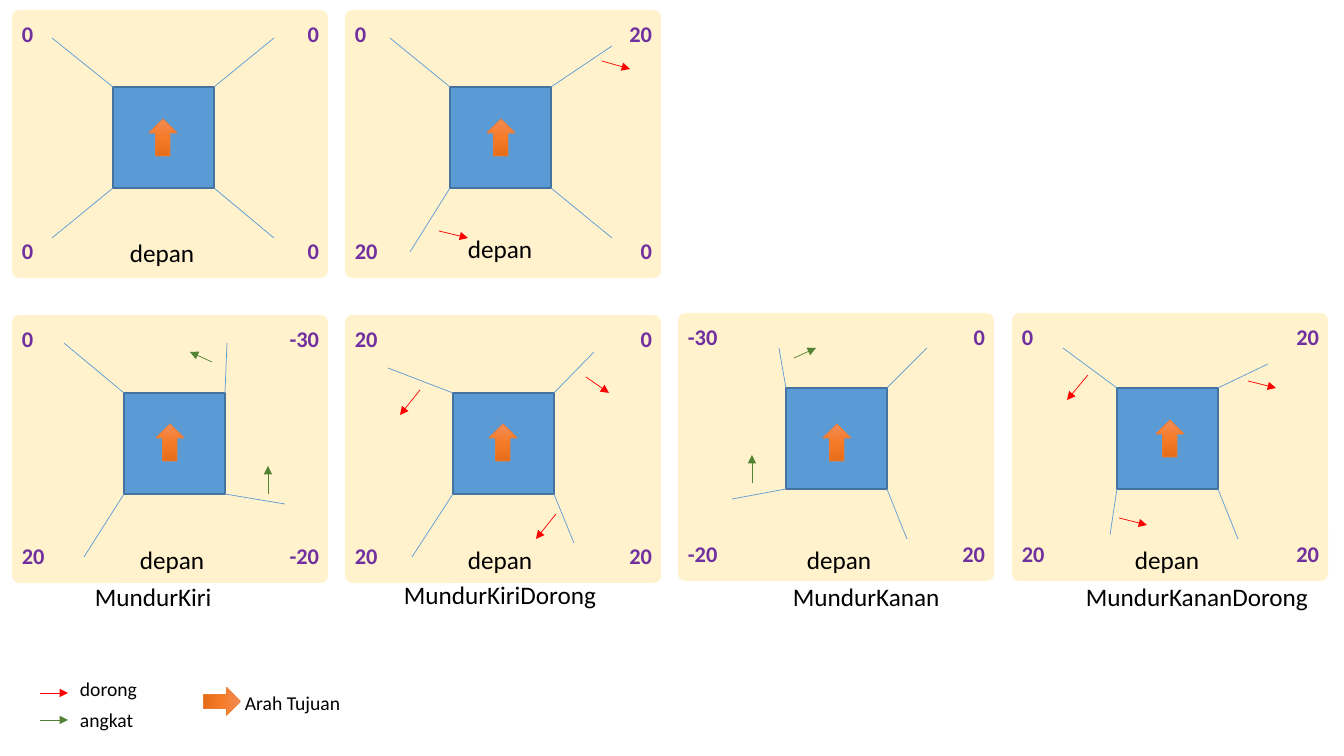
import copy
import pptx
import pptx.util
import pptx.dml.color
import pptx.enum.shapes
import pptx.enum.text
import pptx.oxml.ns
import lxml.etree

RGB = pptx.dml.color.RGBColor
CREAM, BLUE, EDGE = RGB(255, 242, 204), RGB(91, 155, 213), RGB(67, 115, 158)
RED, GREEN = RGB(255, 0, 0), RGB(84, 130, 53)
PURPLE, BLACK, ORANGE = RGB(112, 48, 160), RGB(0, 0, 0), RGB(237, 125, 49)
GLOW = [RGB(241, 140, 87), RGB(246, 123, 40), RGB(229, 108, 25)]
KIND = pptx.enum.shapes.MSO_SHAPE
ALIGN = pptx.enum.text.PP_ALIGN
PX = 914400 / 100.8
qn = pptx.oxml.ns.qn

deck = pptx.Presentation()
deck.slide_width, deck.slide_height = round(1344 * PX), round(756 * PX)
slide = deck.slides.add_slide(deck.slide_layouts[6])


def line(ends, color, arrow=False):
    link = slide.shapes.add_connector(
        pptx.enum.shapes.MSO_CONNECTOR.STRAIGHT, *[round(v * PX) for v in ends])
    link.line.color.rgb = color
    link.line.width = pptx.util.Pt(0.5)
    props = link._element.spPr
    if arrow:
        lxml.etree.SubElement(props.find(qn("a:ln")), qn("a:tailEnd"), type="triangle")
    lxml.etree.SubElement(props, qn("a:effectLst"))


def label(text, x, y, wide, high, size, color=BLACK, bold=False, align=ALIGN.LEFT):
    box = slide.shapes.add_textbox(*[round(v * PX) for v in (x, y, wide, high)])
    box.text_frame.word_wrap = False
    box.text_frame.text = text
    para = box.text_frame.paragraphs[0]
    para.alignment = align
    font = para.runs[0].font
    font.name, font.size, font.bold = "Calibri", pptx.util.Pt(size), bold
    font.color.rgb = color


# Panels: column, top, leg angles, body corner, leg ends, "depan", goal, moves
# Legs run top left, top right, bottom left, bottom right
panels = [
    (0, 10, ["0", "0", "0", "0"], (113, 87),
     [(52, 38), (274, 38), (52, 238), (274, 238)], (120, 232), (149, 119), RED, []),
    (1, 10, ["0", "20", "20", "0"], (450, 87),
     [(390, 38), (612, 46), (410, 252), (612, 238)], (458, 228), (487, 119), RED,
     [(439, 231, 468, 238), (602, 61, 630, 69)]),
    (0, 315, ["0", "-30", "20", "-20"], (124, 393),
     [(64, 343), (227, 343), (84, 557), (285, 504)], (130, 539), (156, 424), GREEN,
     [(268, 494, 268, 466), (212, 362, 190, 352)]),
    (1, 315, ["20", "0", "20", "20"], (453, 393),
     [(388, 368), (594, 352), (412, 557), (574, 543)], (458, 539), (489, 424), RED,
     [(420, 390, 400, 415), (556, 514, 536, 539), (586, 377, 609, 393)]),
    (2, 313, ["-30", "0", "-20", "20"], (786, 388),
     [(779, 348), (927, 348), (732, 499), (907, 539)], (797, 539), (823, 424), GREEN,
     [(752, 483, 752, 455), (794, 358, 816, 348)]),
    (3, 313, ["0", "20", "20", "20"], (1117, 388),
     [(1063, 348), (1268, 364), (1110, 535), (1238, 539)], (1125, 539), (1156, 420), RED,
     [(1119, 518, 1147, 525), (1248, 381, 1276, 388), (1088, 375, 1067, 400)]),
]
WIDTHS = {1: 32, 2: 43, 3: 50}
SIDE = 101
goals = [(208, 683, 90)]

for col, top, angles, (x, y), feet, depan, goal, color, moves in panels:
    left = 12 + col * 1000 // 3

    # Card and body
    card = slide.shapes.add_shape(
        KIND.ROUNDED_RECTANGLE, *[round(v * PX) for v in (left, top, 316, 268)])
    card.adjustments[0] = 0.027
    card.fill.solid()
    card.fill.fore_color.rgb = CREAM
    card.line.fill.background()
    card.shadow.inherit = False
    body = slide.shapes.add_shape(
        KIND.RECTANGLE, *[round(v * PX) for v in (x, y, SIDE, SIDE)])
    body.fill.solid()
    body.fill.fore_color.rgb = BLUE
    body.line.color.rgb = EDGE
    body.line.width = pptx.util.Pt(1)
    body.shadow.inherit = False

    # Legs with their angles
    for i, (angle, foot) in enumerate(zip(angles, feet)):
        row, side = divmod(i, 2)
        line((x + side * SIDE, y + row * SIDE, *foot), BLUE)
        wide = WIDTHS[len(angle)]
        label(angle, left + side * (317 - wide), top + 5 + row * 217, wide, 37, 16,
              PURPLE, True, ALIGN.RIGHT if side else ALIGN.LEFT)

    # Leg moves and front label
    for move in moves:
        line(move, color, True)
    label("depan", *depan, 86, 40, 18)
    goals.append((*goal, 0))

# Goal arrows, the first one in the legend
for x, y, turn in goals:
    arrow = slide.shapes.add_shape(
        KIND.UP_ARROW, *[round(v * PX) for v in (x, y, 28, 37)])
    arrow.rotation = turn
    arrow.fill.gradient()
    arrow.fill.gradient_angle = 270
    stops = arrow._element.spPr.find(qn("a:gradFill")).find(qn("a:gsLst"))
    stops.insert(1, copy.deepcopy(stops[0]))
    for i, stop in enumerate(arrow.fill.gradient_stops):
        stop.color.rgb = GLOW[i]
        stop.position = i / 2
    arrow.line.color.rgb = ORANGE
    arrow.line.width = pptx.util.Pt(0.5)
    arrow.shadow.inherit = False

# Gait names
for name, x, y, wide in [("MundurKiri", 85, 576, 138), ("MundurKiriDorong", 394, 574, 215),
                         ("MundurKanan", 783, 576, 168), ("MundurKananDorong", 1076, 576, 245)]:
    label(name, x, y, wide, 40, 18)

# Legend
for name, y, color in [("dorong", 693, RED), ("angkat", 720, GREEN)]:
    line((40, y, 68, y), color, True)
label("dorong", 70, 672, 78, 34, 14)
label("angkat", 70, 703, 75, 34, 14)
label("Arah Tujuan", 235, 686, 117, 34, 14)

deck.save("out.pptx")
